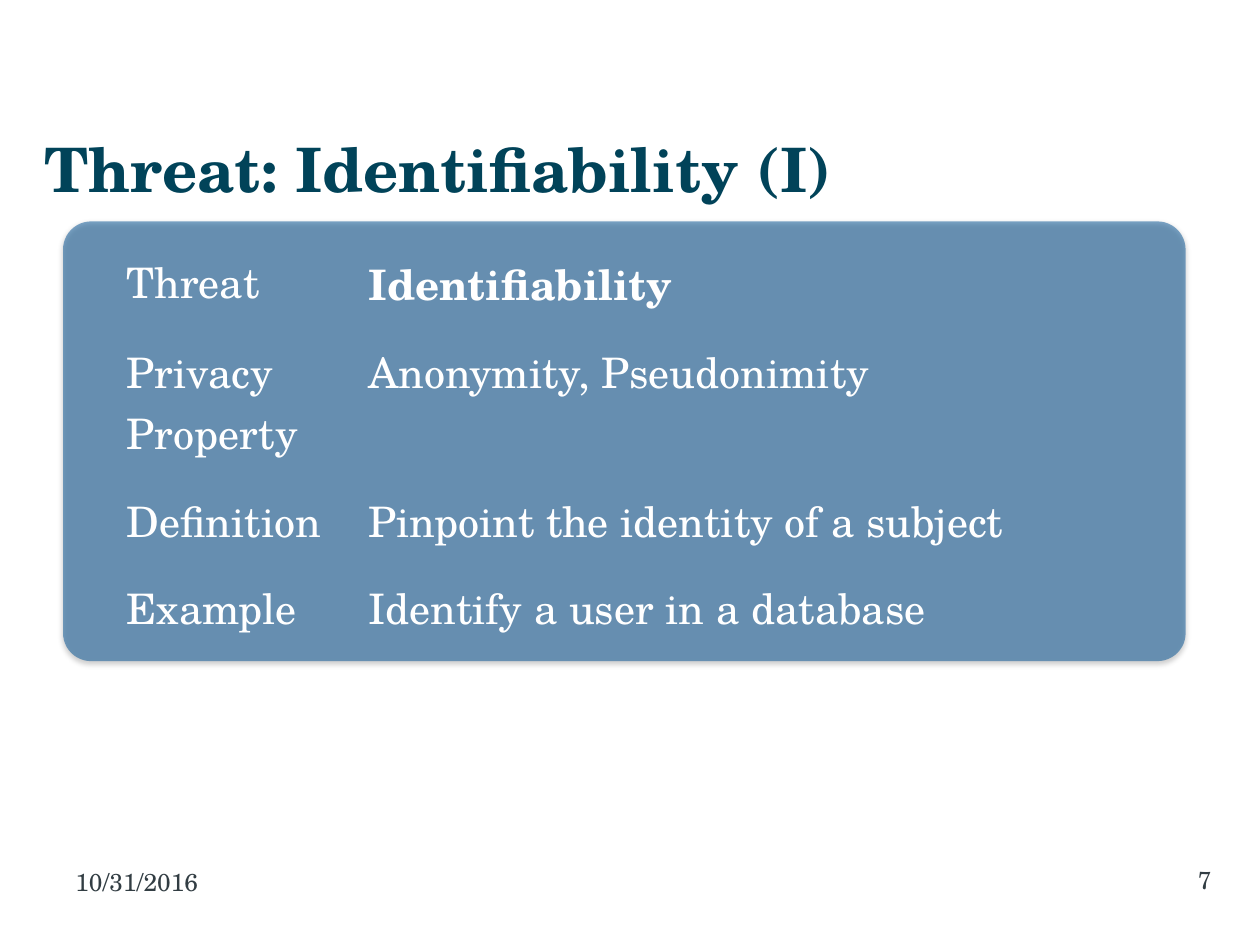
import pptx
import pptx.dml.color
import pptx.enum.shapes
import pptx.enum.text
import pptx.oxml
import pptx.oxml.ns
import pptx.util

Pt = pptx.util.Pt
ANCHOR = pptx.enum.text.MSO_ANCHOR
ALIGN = pptx.enum.text.PP_ALIGN
FONT = "TeX Gyre Schola"
ROWS = [
    (51.4, "Threat", "Identifiability"),
    (85.1, "Privacy Property", "Anonymity, Pseudonimity"),
    (49.7, "Definition", "Pinpoint the identity of a subject"),
    (48.5, "Example", "Identify a user in a database"),
]


def color(value):
    return pptx.dml.color.RGBColor.from_string(value)


def set_text(tf, text, size, value, bold=False, align=ALIGN.LEFT):
    tf.text = text
    p = tf.paragraphs[0]
    p.alignment = align
    font = p.runs[0].font
    font.name, font.size, font.bold = FONT, Pt(size), bold
    font.color.rgb = color(value)


def add_label(s, box, text, size, value, bold=False, align=ALIGN.LEFT,
              anchor=ANCHOR.TOP, left=7.2, right=7.2):
    tf = s.shapes.add_textbox(*map(Pt, box)).text_frame
    tf.word_wrap = True
    tf.vertical_anchor = anchor
    tf.margin_left, tf.margin_right = Pt(left), Pt(right)
    set_text(tf, text, size, value, bold, align)


def add_panel(s, box):
    sp = s.shapes.add_shape(
        pptx.enum.shapes.MSO_SHAPE.ROUNDED_RECTANGLE, *map(Pt, box))
    sp.adjustments[0] = 0.064
    sp.line.fill.background()
    sp.fill.solid()
    sp.fill.fore_color.rgb = color("005194")
    sp.shadow.inherit = False
    ns = pptx.oxml.ns.nsdecls("a")
    props = sp.element.spPr
    fill = props.find(pptx.oxml.ns.qn("a:solidFill"))
    fill[0].append(pptx.oxml.parse_xml(f'<a:alpha {ns} val="50000"/>'))
    props.find(pptx.oxml.ns.qn("a:effectLst")).append(pptx.oxml.parse_xml(
        f'<a:outerShdw {ns} blurRad="{Pt(3.1)}" dist="{Pt(1.6)}" '
        'dir="5400000" rotWithShape="0"><a:srgbClr val="000000">'
        '<a:alpha val="38000"/></a:srgbClr></a:outerShdw>'))


def add_threat_table(s, box):
    table = s.shapes.add_table(len(ROWS), 2, *map(Pt, box)).table
    table.first_row = table.horz_banding = False
    label_width = 138.24
    for column, width in zip(table.columns, (label_width, box[2] - label_width)):
        column.width = Pt(width)
    for i, (height, *texts) in enumerate(ROWS):
        table.rows[i].height = Pt(height)
        for j, text in enumerate(texts):
            cell = table.cell(i, j)
            cell.fill.background()
            cell.margin_left = cell.margin_right = Pt(7.2)
            cell.margin_top = cell.margin_bottom = Pt(7.2)
            set_text(cell.text_frame, text, 24, "FFFFFF", (i, j) == (0, 1))
            props = cell._tc.get_or_add_tcPr()
            for k, side in enumerate(("lnL", "lnR", "lnT", "lnB")):
                props.insert(k, pptx.oxml.parse_xml(
                    f'<a:{side} {pptx.oxml.ns.nsdecls("a")} w="0">'
                    f'<a:noFill/></a:{side}>'))


def add_threat_slide(prs):
    s = prs.slides.add_slide(prs.slide_layouts[6])
    add_panel(s, (36, 126.5, 641.5, 251.3))
    add_label(s, (25.2, 70.2, 668.9, 51.1), "Threat: Identifiability (I)",
              35, "014359", bold=True, anchor=ANCHOR.MIDDLE, left=0)
    add_threat_table(s, (65.1, 136.1, 539.3, 234.7))
    add_label(s, (36, 491.8, 167.8, 37.4), "10/31/2016", 14, "323D43")
    add_label(s, (524.5, 491, 167.8, 37.4), "7", 14, "323D43",
              align=ALIGN.RIGHT, right=0)


def main():
    prs = pptx.Presentation()
    prs.slide_width, prs.slide_height = Pt(720), Pt(540)
    add_threat_slide(prs)
    prs.save("out.pptx")


if __name__ == "__main__":
    main()
